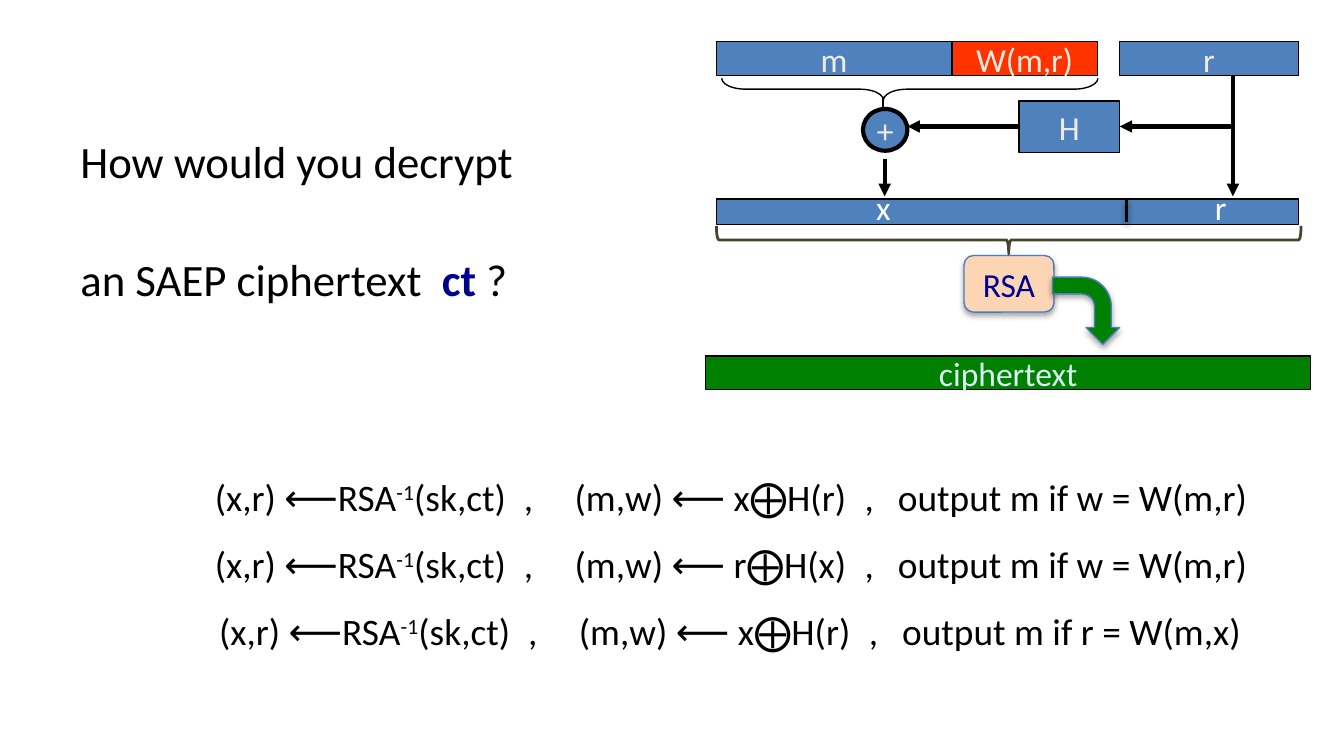
from lxml import etree
from pptx import Presentation
from pptx import util as u
from pptx.dml import color
from pptx.enum import shapes, text
from pptx.oxml import ns

SHAPE = shapes.MSO_SHAPE


def rgb(value):
    return color.RGBColor.from_string(value)


def add_node(parent, tag, **attributes):
    return etree.SubElement(parent, ns.qn(tag), attributes)


def add_shadow(shape, alpha="35000"):
    effects = add_node(shape._element.spPr, "a:effectLst")
    shadow = add_node(effects, "a:outerShdw", blurRad="40000", dist="23000", dir="5400000", rotWithShape="0")
    add_node(add_node(shadow, "a:srgbClr", val="000000"), "a:alpha", val=alpha)


def style(paragraph, size, hex_color):
    paragraph.font.name = "Calibri"
    paragraph.font.size = u.Pt(size)
    paragraph.font.color.rgb = rgb(hex_color)


class Region:
    def __init__(self, slide, left, top):
        self.slide, self.left, self.top = slide, left, top

    def point(self, x, y):
        return u.Cm(self.left + x), u.Cm(self.top + y)

    def shape(self, kind, x, y, width, height, fill=None, line="000000", weight=0.75, shadow=False):
        shape = self.slide.shapes.add_shape(kind, *self.point(x, y), u.Cm(width), u.Cm(height))
        if fill:
            shape.fill.solid()
            shape.fill.fore_color.rgb = rgb(fill)
        else:
            shape.fill.background()
        shape.line.color.rgb = rgb(line)
        shape.line.width = u.Pt(weight)
        if shadow:
            add_shadow(shape)
        else:
            shape.shadow.inherit = False
        return shape

    def block(self, label, x, y, width, height, fill="4F81BD", font="EEECE1", kind=SHAPE.RECTANGLE, **look):
        shape = self.shape(kind, x, y, width, height, fill, **look)
        frame = shape.text_frame
        frame.word_wrap = False
        frame.vertical_anchor = text.MSO_ANCHOR.MIDDLE
        paragraph = frame.paragraphs[0]
        paragraph.text = label
        paragraph.alignment = text.PP_ALIGN.CENTER
        style(paragraph, 18, font)

    def brace(self, x, y, width, height, **look):
        offset = (width - height) / 2
        brace = self.shape(SHAPE.LEFT_BRACE, x + offset, y - offset, height, width, **look)
        brace.rotation = 270
        return brace

    def line(self, x1, y1, x2, y2, weight=2.25, arrow=True, shadow=False):
        line = self.slide.shapes.add_connector(
            shapes.MSO_CONNECTOR.STRAIGHT, *self.point(x1, y1), *self.point(x2, y2))
        line.line.color.rgb = rgb("000000")
        line.line.width = u.Pt(weight)
        if arrow:
            add_node(line.line._get_or_add_ln(), "a:tailEnd", type="triangle")
        if shadow:
            add_shadow(line, "38000")
        else:
            add_node(line._element.spPr, "a:effectLst")

    def text_frame(self, x, y, width, height, wrap=False):
        box = self.slide.shapes.add_textbox(*self.point(x, y), u.Cm(width), u.Cm(height))
        box.text_frame.word_wrap = wrap
        return box.text_frame


def add_question(slide, left, top, width, height):
    frame = Region(slide, left, top).text_frame(0, 0, width, height)
    first, second = frame.paragraphs[0], frame.add_paragraph()
    for paragraph in (first, second):
        paragraph.line_spacing = u.Pt(31.8)
        style(paragraph, 24, "000000")
    second.space_before = u.Pt(31.8)
    first.text = "How would you decrypt"
    second.add_run().text = "an SAEP ciphertext  "
    ciphertext = second.add_run()
    ciphertext.text = "ct "
    ciphertext.font.bold = True
    ciphertext.font.color.rgb = rgb("000090")
    second.add_run().text = "?"


def add_diagram(slide, left, top, width):
    region = Region(slide, left, top)
    bar = 0.64
    region.block("r", 7.82, 0, 3.38, bar)
    region.block("H", 5.92, 1.12, 1.9, 0.97)
    region.block("+", 2.97, 1.27, 0.84, 0.79, kind=SHAPE.OVAL, weight=2.25)
    region.line(9.96, bar, 9.96, 2.92)
    region.line(5.92, 1.6, 3.81, 1.6)
    region.line(9.96, 1.6, 7.82, 1.6)
    region.line(3.38, 2.21, 3.38, 2.92)
    region.shape(SHAPE.RECTANGLE, 0.2, 2.97, 11, 0.48, "4F81BD")
    region.block("m", 0.2, 0, 4.45, bar)
    region.block("W(m,r)", 4.65, 0, 2.75, bar, fill="FF3300")

    message_brace = region.brace(0.3, 0.69, 7.11, 0.41)
    message_brace.adjustments[0] = 1.11
    message_brace.adjustments[1] = 0.43
    region.line(3.35, 1.07, 3.35, 1.24, weight=0.75, arrow=False)

    region.block("RSA", 4.88, 4.04, 1.7, 1.07, fill="FCD5B5", font="000090",
                 kind=SHAPE.ROUNDED_RECTANGLE, line="4B7EBC", shadow=True)
    region.block("ciphertext", 0, 5.94, width, bar, fill="008000", font="DBEEF4")
    arrow = region.shape(SHAPE.BENT_ARROW, 6.55, 4.45, 1.27, 1.27, "008000", line="4B7EBC", shadow=True)
    arrow.rotation = 90

    for label, x in (("x", 2.97), ("r", 9.37)):
        paragraph = region.text_frame(x, 2.62, 0.76, 1.02).paragraphs[0]
        paragraph.text = label
        style(paragraph, 18, "FFFFFF")
    region.line(7.95, 2.97, 7.95, 3.4, weight=2, arrow=False, shadow=True)
    region.brace(0.2, 3.48, 11.05, 0.53, line="4A452A", weight=1.5)


def add_answers(slide, left, top, width, step):
    region = Region(slide, left, top)
    answers = (
        (0, "x⨁H(r)", "r)", "w"),
        (0, "r⨁H(x)", "r)", "w"),
        (0.08, "x⨁H(r)", "x)", "r"),
    )
    for row, (indent, mask, last, check) in enumerate(answers):
        frame = region.text_frame(indent, row * step, width, 1.12, wrap=True)
        frame.margin_right = 0
        paragraph = frame.paragraphs[0]
        tabs = add_node(paragraph._p.get_or_add_pPr(), "a:tabLst")
        for stop in (5.84, 6.8, 12.28, 12.91):
            add_node(tabs, "a:tab", pos=str(u.Cm(stop)), algn="l")
        style(paragraph, 20, "000000")
        paragraph.add_run().text = "(x,r) ⟵RSA"
        exponent = paragraph.add_run()
        exponent.text = "-1"
        exponent._r.get_or_add_rPr().set("baseline", "30000")
        paragraph.add_run().text = f"(sk,ct)\t,\t(m,w) ⟵ {mask}\t,\toutput m if {check} = W(m,{last}"


def main():
    presentation = Presentation()
    presentation.slide_width = u.Cm(25.4)
    presentation.slide_height = u.Cm(14.29)
    slide = presentation.slides.add_slide(presentation.slide_layouts[6])
    add_question(slide, 1.27, 2.29, 8.79, 2.51)
    add_diagram(slide, 13.34, 0.79, 11.43)
    add_answers(slide, 3.81, 8.84, 20.02, 1.27)
    presentation.save("out.pptx")


if __name__ == "__main__":
    main()
